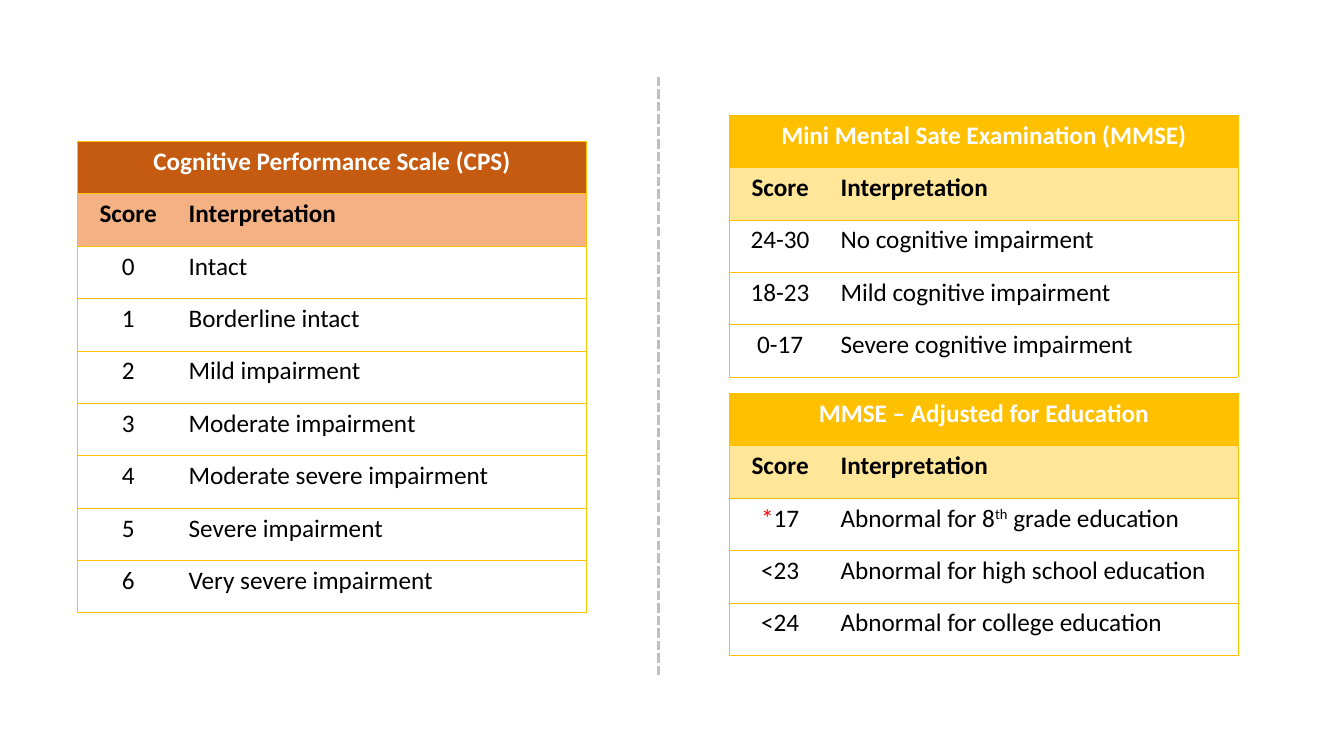
from lxml import etree
from pptx import Presentation
from pptx.dml.color import RGBColor
from pptx.enum.dml import MSO_LINE_DASH_STYLE as DASH
from pptx.enum.shapes import MSO_CONNECTOR as CONN
from pptx.enum.text import PP_ALIGN as ALIGN
from pptx.oxml import parse_xml
from pptx.oxml.ns import nsdecls, qn
from pptx.util import Cm, Pt


def rgb(value):
    return RGBColor.from_string(value)


class ScoreSlide:
    FONT = {"name": "Calibri", "size": Pt(18)}
    GOLD = "FFC000"
    COLS = (2.54, 10.27)
    ROW = 1.32

    def __init__(self, prs):
        self.s = prs.slides.add_slide(prs.slide_layouts[6])

    def cell_text(self, cell, runs, align, color, bold):
        """Fill a cell with a string or a list of (text, color, baseline)."""
        if isinstance(runs, str):
            runs = [(runs, color, None)]
        p = cell.text_frame.paragraphs[0]
        p.alignment = align
        for text, run_color, baseline in runs:
            r = p.add_run()
            r.text = text
            for key, value in {**self.FONT, "bold": bold}.items():
                setattr(r.font, key, value)
            r.font.color.rgb = rgb(run_color)
            if baseline:
                r.font._element.set("baseline", baseline)

    def borders(self, cell, sides):
        """Draw gold lines on the given sides and clear the others."""
        tcPr = cell._tc.get_or_add_tcPr()
        for side in "LRTB":
            fill = "<a:noFill/>"
            if side in sides:
                fill = f'<a:solidFill><a:srgbClr val="{self.GOLD}"/></a:solidFill>'
            tcPr.append(parse_xml(
                f'<a:ln{side} w="{Pt(0.5)}" {nsdecls("a")}>{fill}</a:ln{side}>'))

    def table(self, x, y, title, title_fill, head_fill, scores):
        rows = [(title, ""), ("Score", "Interpretation"), *scores]
        tbl = self.s.shapes.add_table(len(rows), 2, Cm(x), Cm(y), Cm(sum(self.COLS)),
                                      Cm(self.ROW * len(rows))).table
        tbl.first_row = tbl.horz_banding = False
        for col, width in zip(tbl.columns, self.COLS):
            col.width = Cm(width)
        tbl.cell(0, 0).merge(tbl.cell(0, 1))

        for i, row in enumerate(rows):
            tbl.rows[i].height = Cm(self.ROW)
            for j, content in enumerate(row):
                cell = tbl.cell(i, j)
                self.borders(cell, "LRTB" if i == 0 else "LTB" if j == 0 else "RTB")
                if i < 2:
                    cell.fill.solid()
                    cell.fill.fore_color.rgb = rgb((title_fill, head_fill)[i])
                else:
                    cell.fill.background()
                if content:
                    self.cell_text(cell, content, ALIGN.LEFT if j else ALIGN.CENTER,
                                   "000000" if i else "FFFFFF", i < 2)

    def divider(self, x, top, bottom):
        line = self.s.shapes.add_connector(CONN.STRAIGHT, Cm(x), Cm(top), Cm(x), Cm(bottom))
        line.line.color.rgb = rgb("BFBFBF")
        for key, value in {"width": Pt(2.25), "dash_style": DASH.SQUARE_DOT}.items():
            setattr(line.line, key, value)
        etree.SubElement(line._element.spPr, qn("a:effectLst"))


def main():
    prs = Presentation()
    prs.slide_width, prs.slide_height = Cm(33.87), Cm(19.05)
    slide = ScoreSlide(prs)

    # Left: CPS scores, numbered from zero
    levels = ["Intact", "Borderline intact", "Mild impairment", "Moderate impairment",
              "Moderate severe impairment", "Severe impairment", "Very severe impairment"]
    slide.table(1.96, 3.56, "Cognitive Performance Scale (CPS)", "C55A11", "F4B183",
                [(str(n), level) for n, level in enumerate(levels)])

    # Right: MMSE scores, plain and adjusted
    right, yellows = 18.39, (slide.GOLD, "FFE699")
    slide.table(right, 2.9, "Mini Mental Sate Examination (MMSE)", *yellows, [
        ("24-30", "No cognitive impairment"),
        ("18-23", "Mild cognitive impairment"),
        ("0-17", "Severe cognitive impairment"),
    ])
    slide.table(right, 9.91, "MMSE – Adjusted for Education", *yellows, [
        ([("*", "FF0000", None), ("17", "000000", None)],
         [("Abnormal for 8", "000000", None), ("th", "000000", "30000"),
          (" grade education", "000000", None)]),
        ("<23", "Abnormal for high school education"),
        ("<24", "Abnormal for college education"),
    ])

    # Dashed line between the two halves
    slide.divider(16.59, 1.93, 17.09)

    prs.save("out.pptx")


if __name__ == "__main__":
    main()
